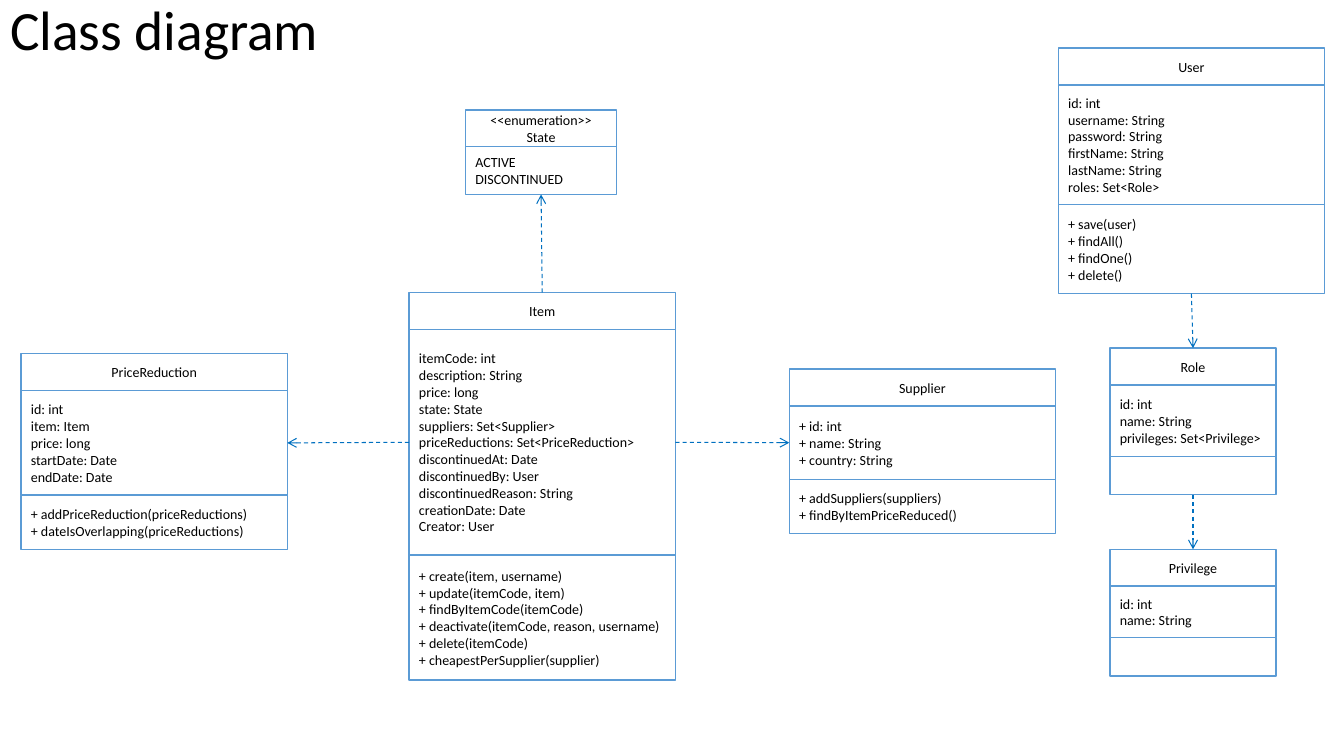
"""Build a class diagram slide with its classes and dependencies."""
from dataclasses import dataclass

from lxml.etree import SubElement
from pptx import Presentation
from pptx.dml.color import RGBColor
from pptx.enum.dml import MSO_LINE
from pptx.enum.shapes import MSO_CONNECTOR, MSO_SHAPE
from pptx.enum.text import MSO_ANCHOR, MSO_AUTO_SIZE, PP_ALIGN
from pptx.oxml.ns import qn
from pptx.shapes.autoshape import Shape
from pptx.slide import Slide
from pptx.text.text import TextFrame
from pptx.util import Cm, Pt

RECT = MSO_SHAPE.RECTANGLE
STRAIGHT = MSO_CONNECTOR.STRAIGHT
DASH = MSO_LINE.DASH
MIDDLE = MSO_ANCHOR.MIDDLE
NO_FIT = MSO_AUTO_SIZE.NONE
LEFT, CENTER = PP_ALIGN.LEFT, PP_ALIGN.CENTER
TOP_SIDE, LEFT_SIDE, BOTTOM_SIDE, RIGHT_SIDE = range(4)
HEAD, FIELDS, LAST = 0, 1, -1
TITLE_ONLY = 5
HEAD_HEIGHT = 0.93
WIDE, NARROW, SMALL = 6.71, 4.19, 3.81


@dataclass(frozen=True)
class Theme:
    """Hold the colours, font and sizes."""
    font: str = "Calibri"
    ink: RGBColor = RGBColor(0, 0, 0)
    paper: RGBColor = RGBColor(255, 255, 255)
    border: RGBColor = RGBColor(0x5B, 0x9B, 0xD5)
    arrow: RGBColor = RGBColor(0x00, 0x70, 0xC0)
    title: float = 39.6
    body: float = 10
    edge: float = 1
    link: float = 0.75


@dataclass(frozen=True)
class Cell:
    """Describe one compartment under a class name."""
    height: float
    text: str = ""


@dataclass(frozen=True)
class Entity:
    """Describe one class, measured in centimetres."""
    name: str
    left: float
    top: float
    width: float
    cells: tuple[Cell, ...]
    label: str = ""


@dataclass(frozen=True)
class Link:
    """Describe a dependency between two compartments."""
    source: str
    start: int
    start_side: int
    target: str
    end: int
    end_side: int


THEME = Theme()

ENTITIES = (
    Entity("Item", 10.31, 7.37, WIDE, (
        Cell(5.69, "itemCode: int\ndescription: String\nprice: long\nstate: State\n"
                   "suppliers: Set<Supplier>\npriceReductions: Set<PriceReduction>\n"
                   "discontinuedAt: Date\ndiscontinuedBy: User\n"
                   "discontinuedReason: String\ncreationDate: Date\nCreator: User"),
        Cell(3.15, "+ create(item, username)\n+ update(itemCode, item)\n"
                   "+ findByItemCode(itemCode)\n"
                   "+ deactivate(itemCode, reason, username)\n"
                   "+ delete(itemCode)\n+ cheapestPerSupplier(supplier)"))),
    Entity("State", 11.73, 2.77, SMALL, (Cell(1.2, "ACTIVE\nDISCONTINUED"),),
           "<<enumeration>>\nState"),
    Entity("Supplier", 19.89, 9.3, WIDE, (
        Cell(1.85, "+ id: int\n+ name: String\n+ country: String"),
        Cell(1.37, "+ addSuppliers(suppliers)\n+ findByItemPriceReduced()"))),
    Entity("PriceReduction", 0.53, 8.91, WIDE, (
        Cell(2.64, "id: int\nitem: Item\nprice: long\nstartDate: Date\nendDate: Date"),
        Cell(1.37, "+ addPriceReduction(priceReductions)\n"
                   "+ dateIsOverlapping(priceReductions)"))),
    Entity("User", 26.67, 1.21, WIDE, (
        Cell(3.02, "id: int\nusername: String\npassword: String\n"
                   "firstName: String\nlastName: String\nroles: Set<Role>"),
        Cell(2.24, "+ save(user)\n+ findAll()\n+ findOne()\n+ delete()"))),
    Entity("Role", 27.97, 8.77, NARROW, (
        Cell(1.8, "id: int\nname: String\nprivileges: Set<Privilege>"), Cell(0.97))),
    Entity("Privilege", 27.97, 13.84, NARROW, (
        Cell(1.3, "id: int\nname: String"), Cell(0.97))),
)

LINKS = (
    Link("Item", HEAD, TOP_SIDE, "State", LAST, BOTTOM_SIDE),
    Link("Item", FIELDS, RIGHT_SIDE, "Supplier", FIELDS, LEFT_SIDE),
    Link("User", LAST, BOTTOM_SIDE, "Role", HEAD, TOP_SIDE),
    Link("Role", LAST, BOTTOM_SIDE, "Privilege", HEAD, TOP_SIDE),
    Link("Item", FIELDS, LEFT_SIDE, "PriceReduction", FIELDS, RIGHT_SIDE),
)


def write(frame: TextFrame, text: str, size: float, align: PP_ALIGN) -> None:
    """Fill a frame with text and format its runs."""
    frame.text = text
    frame.vertical_anchor = MIDDLE
    for line in frame.paragraphs:
        line.alignment = align
        for run in line.runs:
            run.font.name = THEME.font
            run.font.size = Pt(size)
            run.font.color.rgb = THEME.ink


def draw_title(slide: Slide, text: str) -> None:
    """Place the title in the top left corner."""
    title = slide.shapes.title
    title.left, title.top, title.width, title.height = Cm(0), Cm(0), Cm(9), Cm(1.65)
    write(title.text_frame, text, THEME.title, LEFT)
    title.text_frame.auto_size = NO_FIT
    title.text_frame.paragraphs[0].line_spacing = 0.9


def draw_entity(slide: Slide, item: Entity) -> list[Shape]:
    """Stack the name and compartments of a class."""
    boxes = []
    top = item.top
    for cell in (Cell(HEAD_HEIGHT, item.label or item.name), *item.cells):
        box = slide.shapes.add_shape(
            RECT, Cm(item.left), Cm(top), Cm(item.width), Cm(cell.height))
        box.shadow.inherit = False
        box.fill.solid()
        box.fill.fore_color.rgb = THEME.paper
        box.line.color.rgb = THEME.border
        box.line.width = Pt(THEME.edge)
        if cell.text:
            write(box.text_frame, cell.text, THEME.body, LEFT if boxes else CENTER)
        boxes.append(box)
        top += cell.height
    return boxes


def draw_link(slide: Slide, link: Link, boxes: dict[str, list[Shape]]) -> None:
    """Join two compartments with a dashed arrow."""
    arrow = slide.shapes.add_connector(STRAIGHT, Cm(0), Cm(0), Cm(0), Cm(0))
    arrow.begin_connect(boxes[link.source][link.start], link.start_side)
    arrow.end_connect(boxes[link.target][link.end], link.end_side)
    arrow.line.color.rgb = THEME.arrow
    arrow.line.width = Pt(THEME.link)
    arrow.line.dash_style = DASH
    props = arrow.element.spPr
    SubElement(props.find(qn("a:ln")), qn("a:tailEnd"), type="arrow")
    SubElement(props, qn("a:effectLst"))


def main() -> None:
    """Build and save the slide."""
    deck = Presentation()
    deck.slide_width, deck.slide_height = Cm(33.87), Cm(19.05)
    slide = deck.slides.add_slide(deck.slide_layouts[TITLE_ONLY])
    draw_title(slide, "Class diagram")
    boxes = {item.name: draw_entity(slide, item) for item in ENTITIES}
    for link in LINKS:
        draw_link(slide, link, boxes)
    deck.save("out.pptx")


main()
